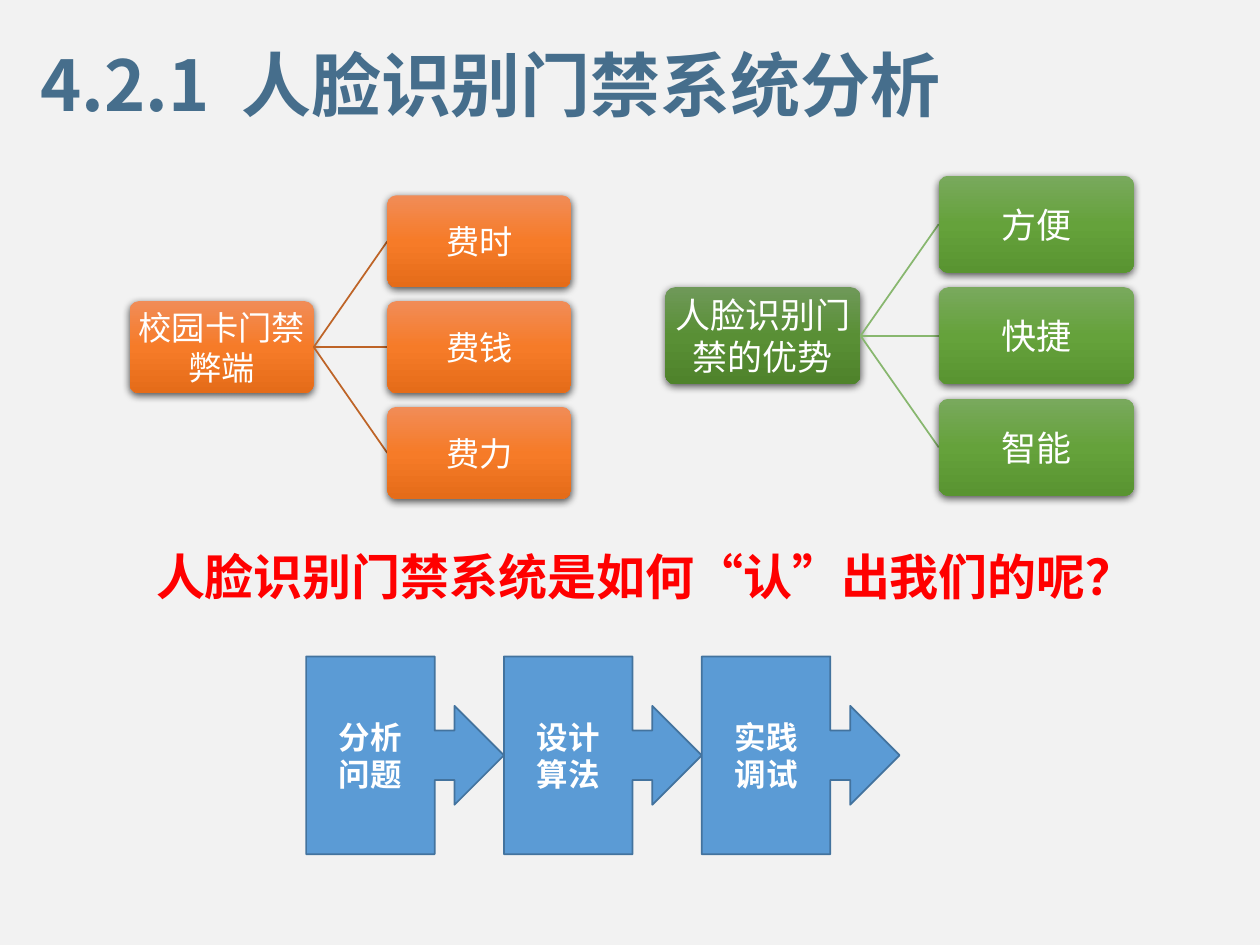
from copy import deepcopy

from lxml import etree
from pptx import Presentation
from pptx.dml.color import RGBColor
from pptx.enum.shapes import MSO_CONNECTOR, MSO_SHAPE
from pptx.enum.text import MSO_ANCHOR, MSO_AUTO_SIZE, PP_ALIGN
from pptx.oxml.ns import qn
from pptx.util import Inches, Pt

CENTER, LEFT = PP_ALIGN.CENTER, PP_ALIGN.LEFT
MIDDLE, TOP = MSO_ANCHOR.MIDDLE, MSO_ANCHOR.TOP
FIT_SHAPE = MSO_AUTO_SIZE.SHAPE_TO_FIT_TEXT
ROUNDED, CALLOUT = MSO_SHAPE.ROUNDED_RECTANGLE, MSO_SHAPE.RIGHT_ARROW_CALLOUT
STRAIGHT = MSO_CONNECTOR.STRAIGHT
CJK_FONT, LATIN_FONT = "Noto Sans CJK SC", "Calibri"

TITLE = ["4.2.1", " ", "人脸识别门禁系统分析"]
QUESTION = "人脸识别门禁系统是如何“认”出我们的呢？"
STEPS = [("分析", "问题"), ("设计", "算法"), ("实践", "调试")]
ORANGE = ("F18C57", "F67B28", "E56C19")
DARK_GREEN = ("6F9959", "598F35", "4F832B")
GREEN = ("79A95D", "65A23B", "599431")
TREES = [
    {"root": "校园卡门禁弊端", "leaves": ["费时", "费钱", "费力"],
     "box": (1.03, 2.39, 1.46, 0.73), "size": 19,
     "root_colors": ORANGE, "leaf_colors": ORANGE, "line": "BE6427"},
    {"root": "人脸识别门禁的优势", "leaves": ["方便", "快捷", "智能"],
     "box": (5.28, 2.28, 1.55, 0.77), "size": 20,
     "root_colors": DARK_GREEN, "leaf_colors": GREEN, "line": "88B76F"},
]
COLUMN_PITCH, ROW_PITCH = 1.4, 1.15
STEP_LEFT, STEP_TOP, STEP_SIZE = 2.43, 5.21, 1.57


def color(value):
    return RGBColor.from_string(value)


def place(box):
    return [Inches(length) for length in box]


def add_run(paragraph, text, size, font_color, bold=False, font=LATIN_FONT):
    run = paragraph.add_run()
    run.text = text
    run.font.size = Pt(size)
    run.font.bold = bold
    run.font.name = font
    run.font.color.rgb = color(font_color)
    latin = run.font._element.find(qn("a:latin"))
    east_asian = etree.Element(qn("a:ea"), typeface=CJK_FONT)
    latin.addnext(east_asian)
    return run


def fill_gradient(shape, colors):
    shape.fill.gradient()
    shape.fill.gradient_angle = 270
    stop_list = shape._element.spPr.find(".//" + qn("a:gsLst"))
    stop_list.append(deepcopy(stop_list[0]))
    for stop, value, position in zip(shape.fill.gradient_stops, colors, (0, 0.5, 1)):
        stop.color.rgb = color(value)
        stop.position = position


def add_shadow(shape):
    shape.shadow.inherit = False
    effects = shape._element.spPr.find(qn("a:effectLst"))
    shadow = etree.SubElement(
        effects, qn("a:outerShdw"), blurRad=str(Pt(4.5)), dist=str(Pt(1.5)),
        dir="5400000", algn="ctr", rotWithShape="0")
    black = etree.SubElement(shadow, qn("a:srgbClr"), val="000000")
    etree.SubElement(black, qn("a:alpha"), val="63000")


def add_card(slide, box, text, size, colors):
    card = slide.shapes.add_shape(ROUNDED, *place(box))
    card.adjustments[0] = 0.1
    fill_gradient(card, colors)
    card.line.fill.background()
    add_shadow(card)
    frame = card.text_frame
    frame.word_wrap = True
    frame.vertical_anchor = MIDDLE
    frame.margin_left = frame.margin_right = Inches(0.01)
    frame.margin_top = frame.margin_bottom = Inches(0.01)
    frame.paragraphs[0].alignment = CENTER
    add_run(frame.paragraphs[0], text, size, "FFFFFF")


def add_branch(slide, ends, line_color):
    branch = slide.shapes.add_connector(STRAIGHT, *place(ends))
    branch.line.color.rgb = color(line_color)
    branch.line.width = Pt(1)
    etree.SubElement(branch._element.spPr, qn("a:effectLst"))


def add_tree(slide, tree):
    left, top, width, height = tree["box"]
    add_card(slide, tree["box"], tree["root"], tree["size"], tree["root_colors"])
    leaf_left = left + width * COLUMN_PITCH
    middle = top + height / 2
    for row, leaf in enumerate(tree["leaves"], start=-1):
        shift = row * height * ROW_PITCH
        add_branch(slide, (left + width, middle, leaf_left, middle + shift), tree["line"])
        add_card(slide, (leaf_left, top + shift, width, height), leaf,
                 tree["size"], tree["leaf_colors"])


def add_step(slide, index, lines):
    left = STEP_LEFT + index * STEP_SIZE
    step = slide.shapes.add_shape(CALLOUT, *place((left, STEP_TOP, STEP_SIZE, STEP_SIZE)))
    step.shadow.inherit = False
    step.fill.solid()
    step.fill.fore_color.rgb = color("5B9BD5")
    step.line.color.rgb = color("43739E")
    step.line.width = Pt(1)
    frame = step.text_frame
    frame.word_wrap = True
    frame.vertical_anchor = MIDDLE
    for row, text in enumerate(lines):
        paragraph = frame.add_paragraph() if row else frame.paragraphs[0]
        paragraph.alignment = CENTER
        add_run(paragraph, text, 18, "FFFFFF", True)


def add_title(slide):
    title = slide.shapes.title
    title.left, title.top, title.width, title.height = place((0.22, 0.28, 10.34, 0.77))
    frame = title.text_frame
    frame.word_wrap = True
    frame.auto_size = FIT_SHAPE
    frame.vertical_anchor = TOP
    paragraph = frame.paragraphs[0]
    paragraph.alignment = LEFT
    runs = [add_run(paragraph, text, 40, "466E8C", True, CJK_FONT) for text in TITLE]
    runs[1].font._element.set("spc", "900")


def add_question(slide):
    question = slide.shapes.add_textbox(*place((1.14, 4.29, 7.72, 0.57)))
    frame = question.text_frame
    frame.word_wrap = True
    frame.auto_size = FIT_SHAPE
    add_run(frame.paragraphs[0], QUESTION, 28, "FF0000", True)


def main():
    presentation = Presentation()
    presentation.slide_width, presentation.slide_height = Inches(10), Inches(7.5)
    slide = presentation.slides.add_slide(presentation.slide_layouts[5])
    slide.background.fill.solid()
    slide.background.fill.fore_color.rgb = color("F2F2F2")
    add_title(slide)
    for index, lines in enumerate(STEPS):
        add_step(slide, index, lines)
    for tree in TREES:
        add_tree(slide, tree)
    add_question(slide)
    presentation.save("out.pptx")


if __name__ == "__main__":
    main()
